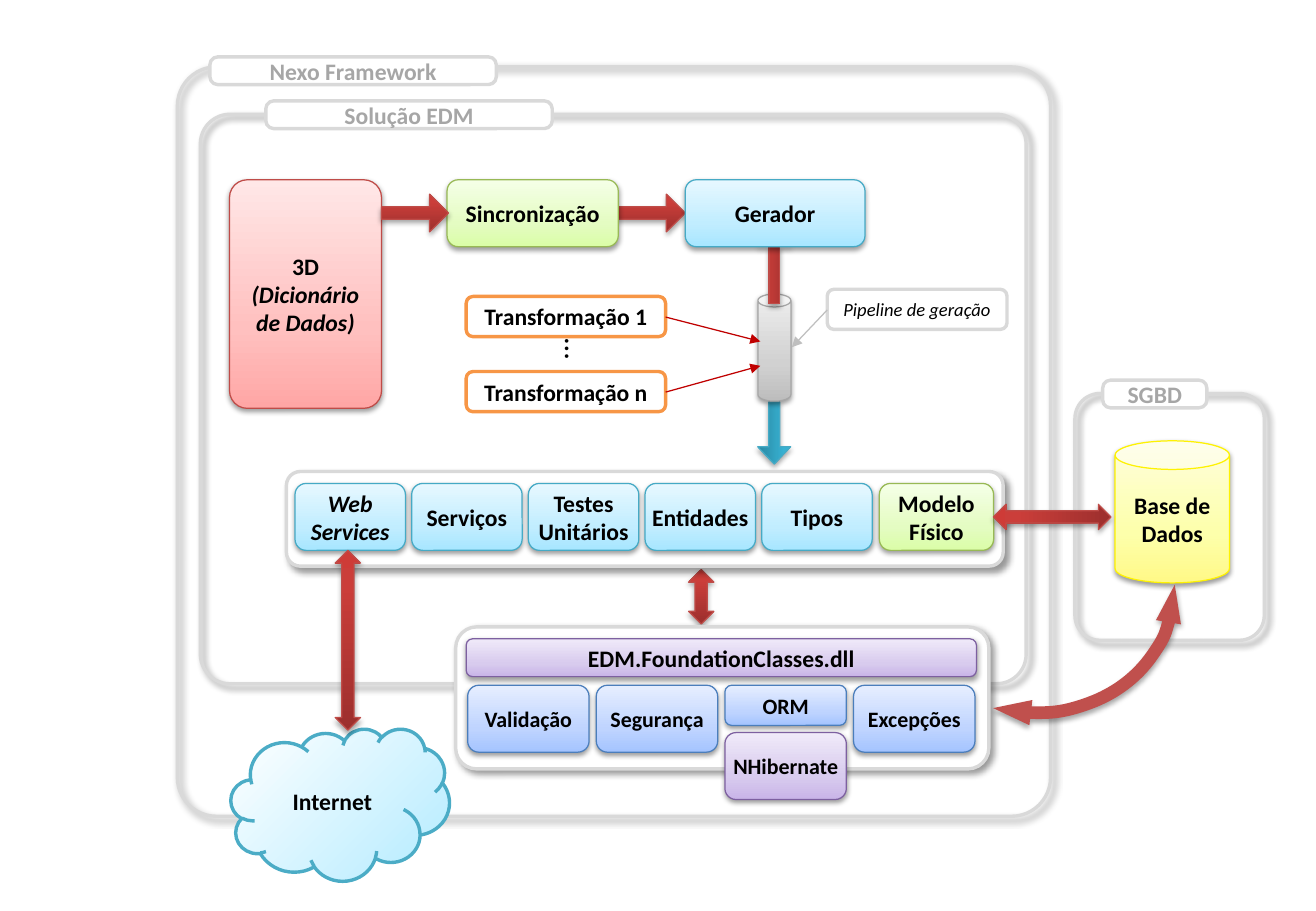
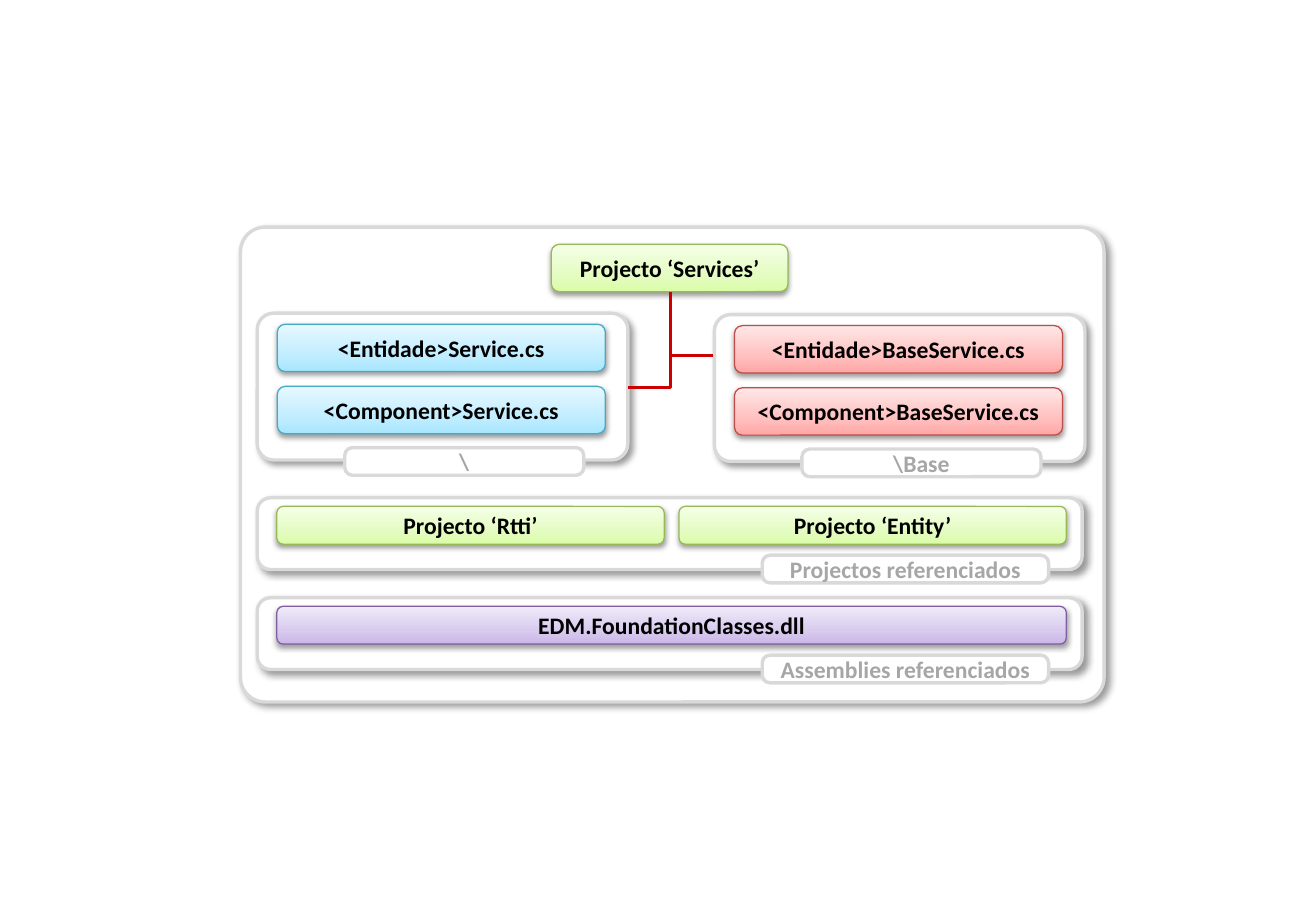
from copy import deepcopy

from pptx import Presentation
from pptx.dml.color import RGBColor
from pptx.enum.shapes import MSO_CONNECTOR, MSO_SHAPE
from pptx.enum.text import MSO_ANCHOR, PP_ALIGN
from pptx.oxml import parse_xml
from pptx.oxml.ns import nsdecls, qn
from pptx.util import Cm, Pt

ROUNDED, CAN, CLOUD, ARC = (MSO_SHAPE.ROUNDED_RECTANGLE, MSO_SHAPE.CAN,
                            MSO_SHAPE.CLOUD, MSO_SHAPE.ARC)
RIGHT_ARROW, DOUBLE_ARROW = MSO_SHAPE.RIGHT_ARROW, MSO_SHAPE.UP_DOWN_ARROW
STRAIGHT, ELBOW = MSO_CONNECTOR.STRAIGHT, MSO_CONNECTOR.ELBOW
CENTER, MIDDLE = PP_ALIGN.CENTER, MSO_ANCHOR.MIDDLE

FONT = "Calibri"
BLACK = RGBColor(0x00, 0x00, 0x00)
WHITE = RGBColor(0xFF, 0xFF, 0xFF)
LABEL_GRAY = RGBColor(0xA6, 0xA6, 0xA6)
FRAME_GRAY = RGBColor(0xD9, 0xD9, 0xD9)
POINTER_GRAY = RGBColor(0xBF, 0xBF, 0xBF)
ORANGE = RGBColor(0xF7, 0x96, 0x46)
BRICK = RGBColor(0xBF, 0x4C, 0x48)
ARC_RED = RGBColor(0xC0, 0x50, 0x4D)
POINTER_RED = RGBColor(0xC0, 0x00, 0x00)
TREE_RED = RGBColor(0xCC, 0x00, 0x00)
TEAL = RGBColor(0x46, 0xAA, 0xC5)
CLOUD_TEAL = RGBColor(0x4B, 0xAC, 0xC6)
OLIVE = RGBColor(0x98, 0xB9, 0x55)
YELLOW = RGBColor(0xFE, 0xF2, 0x02)
PURPLE = RGBColor(0x7D, 0x60, 0xA0)
BLUE = RGBColor(0x4B, 0x7E, 0xBC)

# Gradients run from the bottom to the top
GREEN_FADE = [RGBColor.from_string(c) for c in ("DAFDA7", "E4FCC2", "F5FFE7")]
PINK_FADE = [RGBColor.from_string(c) for c in ("FFA6A5", "FFC0BF", "FFE7E7")]
CYAN_FADE = [RGBColor.from_string(c) for c in ("A7E6FF", "C1EDFF", "E7F8FF")]
YELLOW_FADE = [RGBColor.from_string(c) for c in ("FFF987", "FDFFAB", "FEFEDC")]
PURPLE_FADE = [RGBColor.from_string(c) for c in ("C9B5E8", "D8CBEE", "F0EAF9")]
BLUE_FADE = [RGBColor.from_string(c) for c in ("A4C4FF", "BFD4FF", "E6EEFF")]
GRAY_FADE = [RGBColor.from_string(c) for c in ("BDBDBD", "D1D1D1", "EEEEEE")]
RED_FADE = [RGBColor.from_string(c) for c in ("9C2F2D", "CB3E3A", "CE3B37")]
TEAL_FADE = [RGBColor.from_string(c) for c in ("2A88A2", "37B1D2", "34B4D6")]
CLOUD_FADE = [RGBColor.from_string(c) for c in ("B3EBFF", "FFFFFF")]

# Shadows: opacity %, blur, distance (pt), direction (degrees)
FRAME_SHADOW = (40, 4, 3, 45)
BOX_SHADOW = (38, 3.1, 1.6, 90)
ARROW_SHADOW = (35, 3.1, 1.8, 90)

# Looks: fill, line colour, line width, shadow, text colour
LOOKS = {
    "outline": (None, FRAME_GRAY, 2, FRAME_SHADOW, BLACK),
    "panel": (WHITE, FRAME_GRAY, 2, FRAME_SHADOW, BLACK),
    "label": (WHITE, FRAME_GRAY, 2, None, LABEL_GRAY),
    "callout": (WHITE, FRAME_GRAY, 2, None, BLACK),
    "orange": (WHITE, ORANGE, 2, None, BLACK),
    "green": (GREEN_FADE, OLIVE, 0.75, BOX_SHADOW, BLACK),
    "pink": (PINK_FADE, BRICK, 0.75, BOX_SHADOW, BLACK),
    "cyan": (CYAN_FADE, TEAL, 0.75, BOX_SHADOW, BLACK),
    "yellow": (YELLOW_FADE, YELLOW, 0.75, BOX_SHADOW, BLACK),
    "purple": (PURPLE_FADE, PURPLE, 0.75, BOX_SHADOW, BLACK),
    "blue": (BLUE_FADE, BLUE, 0.75, BOX_SHADOW, BLACK),
    "gray": (GRAY_FADE, LABEL_GRAY, 0.75, BOX_SHADOW, BLACK),
    "red arrow": (RED_FADE, BRICK, 0.75, ARROW_SHADOW, BLACK),
    "teal arrow": (TEAL_FADE, TEAL, 0.75, ARROW_SHADOW, BLACK),
    "cloud": (CLOUD_FADE, CLOUD_TEAL, 2, None, BLACK),
    "arc": (None, ARC_RED, 7.5, ARROW_SHADOW, BLACK),
}
LABEL = (0.285,)
PIPE_ARROW = (0.332, 0.5)
TWO_WAY = (0.455, 0.485)


def add_item(page, look, place, words="", kind=ROUNDED, adjust=(), turn=0,
             size=14, bold=True, italic=False, tight=False):
    fill, line_colour, line_width, shadow, text_colour = LOOKS[look]
    box = page.shapes.add_shape(kind, *[Cm(length) for length in place])
    box.rotation = turn
    for index, value in enumerate(adjust):
        box.adjustments[index] = value
    if fill is None:
        box.fill.background()
    elif isinstance(fill, RGBColor):
        box.fill.solid()
        box.fill.fore_color.rgb = fill
    else:
        box.fill.gradient()
        box.fill.gradient_angle = 90
        stop_list = box._element.spPr.find(qn("a:gradFill")).find(qn("a:gsLst"))
        if len(fill) == 3:
            stop_list.insert(1, deepcopy(stop_list[0]))
        middle = 0.8 if "arrow" in look else 0.35
        positions = (0, middle, 1) if len(fill) == 3 else (0, 1)
        for stop, colour, position in zip(box.fill.gradient_stops, fill, positions):
            stop.color.rgb = colour
            stop.position = position
    box.line.color.rgb = line_colour
    box.line.width = Pt(line_width)
    box.shadow.inherit = False
    if shadow:
        opacity, blur, distance, direction = shadow
        box._element.spPr.find(qn("a:effectLst")).append(parse_xml(
            f'<a:outerShdw {nsdecls("a")} blurRad="{Pt(blur)}" dist="{Pt(distance)}" '
            f'dir="{direction * 60000}" algn="ctr" rotWithShape="0"><a:srgbClr val="000000">'
            f'<a:alpha val="{opacity * 1000}"/></a:srgbClr></a:outerShdw>'))
    if words:
        frame = box.text_frame
        frame.text = words
        frame.vertical_anchor = MIDDLE
        if tight:
            frame.margin_left = frame.margin_right = 0
            frame.margin_top = frame.margin_bottom = 0
        for para in frame.paragraphs:
            para.alignment = CENTER
            para.font.name = FONT
            para.font.size = Pt(size)
            para.font.bold = bold
            para.font.italic = italic
            para.font.color.rgb = text_colour
    return box


def add_link(page, start, end, colour, width=0.75, kind=STRAIGHT):
    link = page.shapes.add_connector(kind, *[Cm(length) for length in start + end])
    link.line.color.rgb = colour
    link.line.width = Pt(width)
    properties = link._element.spPr
    if kind == ELBOW:  # a single corner
        properties.find(qn("a:prstGeom")).set("prst", "bentConnector2")
    else:
        properties.find(qn("a:ln")).append(
            parse_xml(f'<a:tailEnd {nsdecls("a")} type="triangle"/>'))
    properties.append(parse_xml(f'<a:effectLst {nsdecls("a")}/>'))


deck = Presentation()
deck.slide_width, deck.slide_height = Cm(27.52), Cm(19.05)
blank = deck.slide_layouts[6]

# Slide 1: architecture
page = deck.slides.add_slide(blank)
add_item(page, "outline", (3.71, 1.4, 18.26, 15.67), adjust=(0.052,))
add_item(page, "outline", (4.19, 2.39, 17.27, 11.91), adjust=(0.052,))

# Dictionary, synchronisation and generator
add_item(page, "red arrow", (12.93, 4.06, 1.4, 0.79), kind=RIGHT_ARROW, adjust=PIPE_ARROW)
add_item(page, "green", (9.35, 3.76, 3.58, 1.4), "Sincronização")
dictionary = add_item(page, "pink", (4.8, 3.76, 3.18, 4.78),
                      "3D\n(Dicionário de Dados)", adjust=(0.117,))
dictionary.text_frame.paragraphs[1].font.italic = True
add_item(page, "yellow", (23.32, 9.22, 2.39, 2.97), "Base de Dados", kind=CAN)
add_item(page, "label", (5.56, 2.11, 5.99, 0.58), "Solução EDM", adjust=LABEL)
add_item(page, "red arrow", (14.4, 11.91, 0.53, 1.14), kind=DOUBLE_ARROW, adjust=TWO_WAY)

# Generation pipeline
add_item(page, "teal arrow", (15.54, 8.71, 1.3, 0.69), kind=RIGHT_ARROW,
         adjust=(0.332, 0.522), turn=90)
add_item(page, "gray", (15.85, 6.15, 0.69, 2.24), kind=CAN, adjust=(0.392,))
add_item(page, "red arrow", (15.6, 5.41, 1.19, 0.69), kind=RIGHT_ARROW,
         adjust=(0.332, 0), turn=270)
add_item(page, "red arrow", (7.98, 4.06, 1.4, 0.79), kind=RIGHT_ARROW, adjust=PIPE_ARROW)
for words, top, target in (("Transformação 1", 6.2, 7.14), ("Transformação n", 7.77, 7.65)):
    add_item(page, "orange", (9.75, top, 4.17, 0.84), words)
    add_link(page, (13.92, top + 0.43), (15.9, target), POINTER_RED)
add_item(page, "cloud", (4.83, 15.24, 4.57, 3.18), "Internet", kind=CLOUD)
cloud_fill = page.shapes[-1]._element.spPr.find(qn("a:gradFill"))
cloud_fill.replace(cloud_fill.find(qn("a:lin")), parse_xml(
    f'<a:path {nsdecls("a")} path="circle"><a:fillToRect l="100000" t="100000"/></a:path>'))
add_item(page, "cyan", (14.33, 3.76, 3.76, 1.4), "Gerador")

# Foundation classes
add_item(page, "panel", (9.53, 13.11, 11.15, 2.97), adjust=(0.148,))
add_item(page, "purple", (9.75, 13.36, 10.67, 0.79), "EDM.FoundationClasses.dll")
for column, words in enumerate(("Validação", "Segurança", "ORM", "Excepções")):
    height = 0.84 if words == "ORM" else 1.4
    add_item(page, "blue", (9.78 + 2.69 * column, 14.33, 2.54, height), words,
             size=13, tight=True)

# Generated parts
add_item(page, "panel", (5.99, 9.86, 14.99, 1.98), adjust=(0.148,))
parts = ("Web Services", "Serviços", "Testes Unitários", "Entidades", "Tipos")
for column, words in enumerate(parts):
    add_item(page, "cyan", (6.17 + 2.44 * column, 10.11, 2.31, 1.4), words,
             italic=column == 0, tight=True)
add_item(page, "green", (18.39, 10.11, 2.39, 1.4), "Modelo Físico")
add_item(page, "red arrow", (7.01, 11.51, 0.53, 3.76), kind=DOUBLE_ARROW, adjust=TWO_WAY)

# Pipeline note and the dots between transformations
add_item(page, "callout", (17.3, 6.05, 3.76, 0.84), "Pipeline de geração",
         size=11, bold=False, italic=True)
add_link(page, (17.3, 6.48), (16.56, 7.26), POINTER_GRAY)
dots = page.shapes.add_textbox(Cm(11.86), Cm(6.68), Cm(0.41), Cm(1.02))
dots.rotation = 90
dots.text_frame.word_wrap = False
dots.text_frame.margin_left, dots.text_frame.margin_right = Cm(0.1), 0
para = dots.text_frame.paragraphs[0]
para.text = "…"
para.font.name, para.font.size = FONT, Pt(18)
para.font.color.rgb = BLACK
add_item(page, "purple", (15.16, 15.32, 2.54, 1.4), "NHibernate", size=13, tight=True)

# Database server
add_item(page, "outline", (22.48, 8.23, 3.96, 5.16), adjust=(0.132,))
add_item(page, "label", (23.06, 7.95, 2.18, 0.58), "SGBD", adjust=LABEL)
add_item(page, "red arrow", (21.74, 9.58, 0.53, 2.46), kind=DOUBLE_ARROW,
         adjust=TWO_WAY, turn=270)
arc = add_item(page, "arc", (17.83, 7.72, 6.27, 7.62), kind=ARC,
               adjust=(147.59, 197.07), turn=125)
for end in ("headEnd", "tailEnd"):
    arc._element.spPr.find(qn("a:ln")).append(
        parse_xml(f'<a:{end} {nsdecls("a")} type="triangle" w="sm"/>'))
add_item(page, "label", (4.39, 1.19, 5.99, 0.58), "Nexo Framework", adjust=LABEL)

# Slide 2: services project
page = deck.slides.add_slide(blank)
add_item(page, "panel", (5.03, 4.75, 18.06, 9.93), adjust=(0.052,))
add_item(page, "green", (11.53, 5.11, 4.95, 0.99), "Projecto ‘Services’")

# Folders with their files
folders = (
    (5.38, 6.55, "cyan", "Service.cs", "\\", (13.13, 8.1)),
    (14.94, 6.58, "pink", "BaseService.cs", "\\Base", (14.91, 7.44)),
)
for left, top, look, ending, folder, joint in folders:
    add_item(page, "panel", (left, top, 7.75, 3.07), adjust=(0.111,))
    for row, prefix in enumerate(("<Entidade>", "<Component>")):
        add_item(page, look, (left + 0.42, top + 0.23 + 1.3 * row, 6.86, 0.99),
                 prefix + ending)
    add_item(page, "label", (left + 1.83, top + 2.81, 5, 0.58), folder, adjust=LABEL)
    add_link(page, joint, (14.02, 6.1), TREE_RED, 1.5, ELBOW)

# References
references = (
    (10.41, "Projectos referenciados", "green", 8.1,
     ("Projecto ‘Rtti’", "Projecto ‘Entity’")),
    (12.5, "Assemblies referenciados", "purple", 16.51, ("EDM.FoundationClasses.dll",)),
)
for top, label, look, width, names in references:
    add_item(page, "panel", (5.38, top, 17.25, 1.5), adjust=(0.186,))
    for column, words in enumerate(names):
        add_item(page, look, (5.79 + 8.41 * column, top + 0.18, width, 0.79), words)
    add_item(page, "label", (15.94, top + 1.2, 5.99, 0.58), label, adjust=LABEL)

deck.save("out.pptx")
